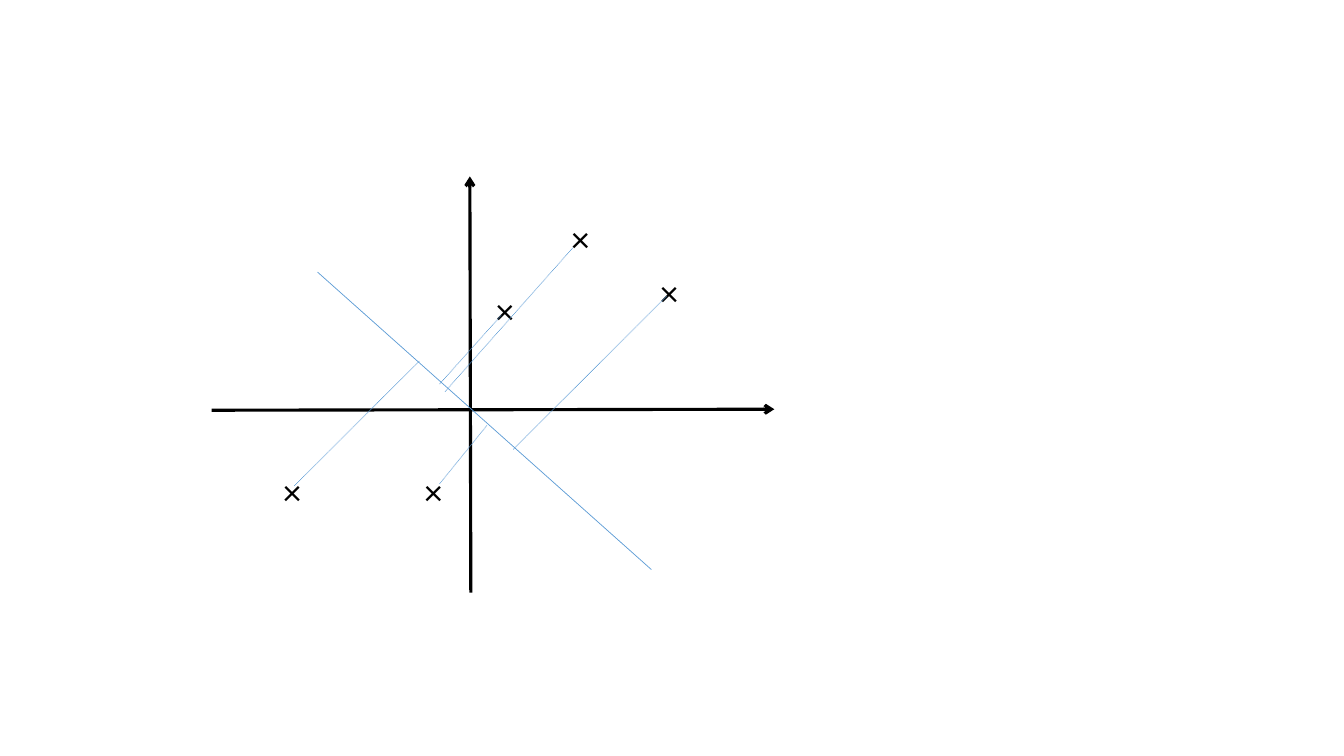
from lxml.etree import SubElement
from pptx import Presentation
from pptx.dml.color import RGBColor
from pptx.enum.dml import MSO_LINE
from pptx.enum.shapes import MSO_CONNECTOR
from pptx.enum.text import MSO_AUTO_SIZE
from pptx.oxml.ns import qn
from pptx.util import Pt

PX = 9144  # 100 px to the inch
SLIDE_SIZE = (1333, 750)
COLORS = {"ink": "000000", "projection": "5B9BD5"}
FONT = "Calibri"
MARK = "×"
MARK_HEIGHT = 53

# Lines: x and y of the start, then of the end
AXES = [(467, 588, 466, 175), (210, 407, 768, 406)]
PROJECTION_LINE = (315, 270, 646, 565)
PERPENDICULARS = [
    (497, 313, 436, 381),
    (568, 246, 441, 389),
    (661, 294, 509, 446),
    (292, 482, 416, 358),
    (436, 480, 483, 422),
]
# Data points: left, top, width of the mark's box
POINTS = [
    (482, 281, 52),
    (557, 210, 43),
    (645, 263, 43),
    (411, 461, 43),
    (271, 461, 43),
]


def add_line(shapes, ends, color, width, dash=None, arrow=False):
    line = shapes.add_connector(MSO_CONNECTOR.STRAIGHT, *(v * PX for v in ends))
    line.line.color.rgb = RGBColor.from_string(COLORS[color])
    line.line.width = Pt(width)
    if dash:
        line.line.dash_style = dash
    properties = line._element.spPr
    if arrow:
        SubElement(properties.find(qn("a:ln")), qn("a:tailEnd"), type="arrow")
    SubElement(properties, qn("a:effectLst"))


def add_mark(shapes, left, top, width):
    box = shapes.add_textbox(left * PX, top * PX, width * PX, MARK_HEIGHT * PX)
    frame = box.text_frame
    frame.word_wrap = True
    frame.auto_size = MSO_AUTO_SIZE.SHAPE_TO_FIT_TEXT
    run = frame.paragraphs[0].add_run()
    run.text = MARK
    run.font.name = FONT
    run.font.size = Pt(26)
    run.font.color.rgb = RGBColor.from_string(COLORS["ink"])


def main():
    presentation = Presentation()
    presentation.slide_width, presentation.slide_height = (v * PX for v in SLIDE_SIZE)
    slide = presentation.slides.add_slide(presentation.slide_layouts[6])
    plot = slide.shapes.add_group_shape().shapes
    for axis in AXES:
        add_line(plot, axis, "ink", 2.25, arrow=True)
    for point in POINTS:
        add_mark(plot, *point)
    add_line(plot, PROJECTION_LINE, "projection", 0.5)
    for perpendicular in PERPENDICULARS:
        add_line(plot, perpendicular, "projection", 0.5, dash=MSO_LINE.ROUND_DOT)
    presentation.save("out.pptx")


if __name__ == "__main__":
    main()
